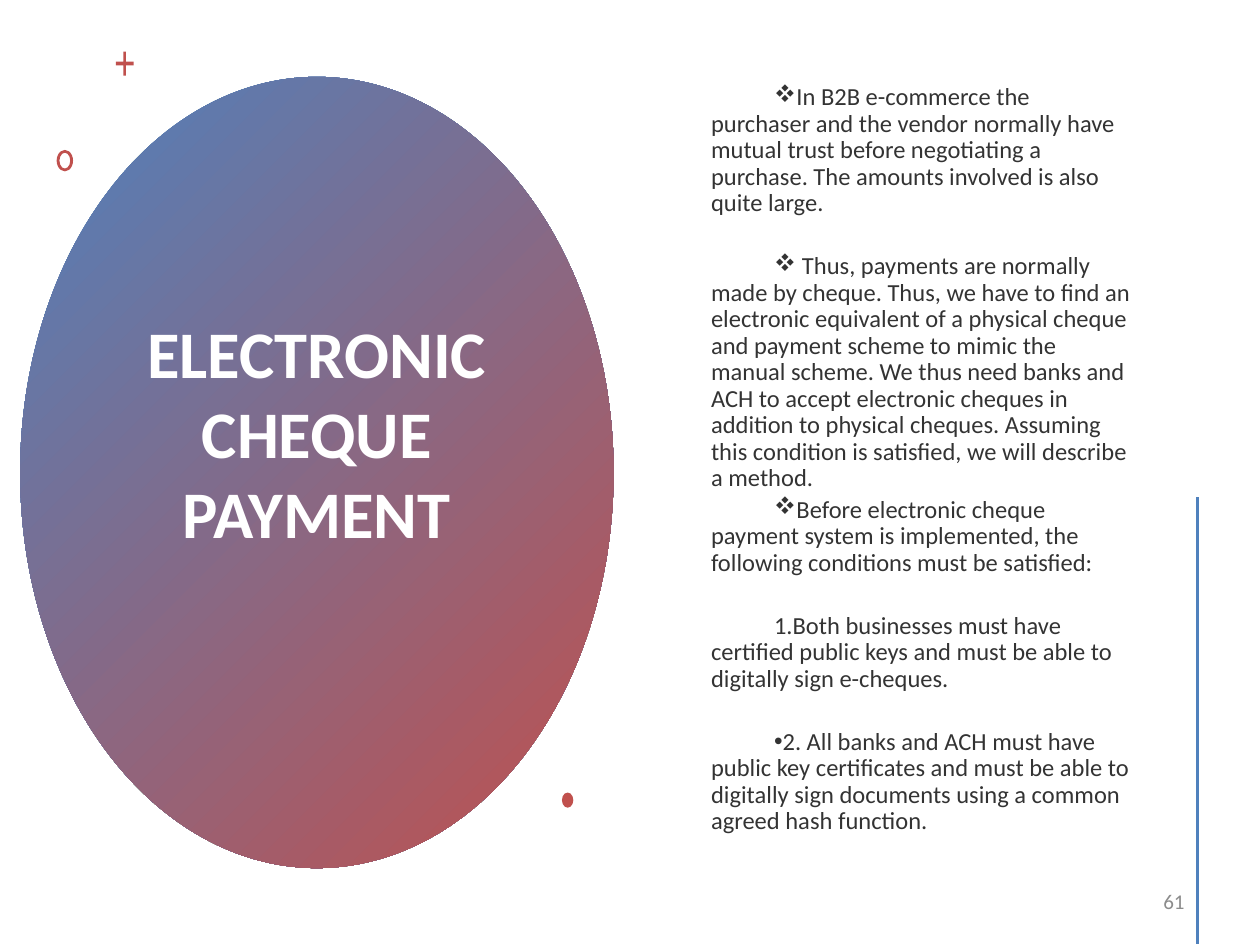
from dataclasses import dataclass

from lxml import etree
from pptx import Presentation
from pptx.dml.color import RGBColor
from pptx.enum.shapes import MSO_CONNECTOR, MSO_SHAPE
from pptx.enum.text import MSO_ANCHOR, MSO_AUTO_SIZE, PP_ALIGN
from pptx.oxml.ns import qn
from pptx.text.text import Font
from pptx.util import Emu, Inches, Pt

OVAL, DONUT = MSO_SHAPE.OVAL, MSO_SHAPE.DONUT
LINE = MSO_CONNECTOR.STRAIGHT
MIDDLE, FIXED = MSO_ANCHOR.MIDDLE, MSO_AUTO_SIZE.NONE
LEFT, CENTER, RIGHT = PP_ALIGN.LEFT, PP_ALIGN.CENTER, PP_ALIGN.RIGHT

WIDE, HIGH = Inches(10), Inches(7.5)
HEX = {"blue": "4F81BD", "red": "C0504D", "white": "FFFFFF",
       "black": "000000", "gray": "8C8C8C"}
TITLE = {"name": "Calibri", "size": Pt(38), "bold": True}
BODY = {"name": "Calibri", "size": Pt(14)}
PAGE = {"name": "Calibri", "size": Pt(12)}
MARKS = {"v": "Wingdings", "•": "Arial"}
CLOSE, APART = 2.8, 20.9


@dataclass
class Box:
    left: float
    top: float
    width: float
    height: float

    def spot(self) -> tuple:
        return (across(self.left), down(self.top),
                across(self.width), down(self.height))


@dataclass
class Item:
    mark: str
    text: str
    gap: float


ITEMS = [
    Item("v", "In B2B e-commerce the purchaser and the vendor normally have mutual "
         "trust before negotiating a purchase. The amounts involved is also quite "
         "large.", 0),
    Item("v", " Thus, payments are normally made by cheque. Thus, we have to find an "
         "electronic equivalent of a physical cheque and payment scheme to mimic the "
         "manual scheme. We thus need banks and ACH to accept electronic cheques in "
         "addition to physical cheques. Assuming this condition is satisfied, we will "
         "describe a method.", APART),
    Item("v", "Before electronic cheque payment system is implemented, the following "
         "conditions must be satisfied:", CLOSE),
    Item("1.", "Both businesses must have certified public keys and must be able to "
         "digitally sign e-cheques.", APART),
    Item("•", "2. All banks and ACH must have public key certificates and must be able "
         "to digitally sign documents using a common agreed hash function.", APART),
]


def across(share: float) -> Emu:
    return Emu(round(WIDE * share / 100))


def down(share: float) -> Emu:
    return Emu(round(HIGH * share / 100))


def tint(name: str) -> RGBColor:
    return RGBColor.from_string(HEX[name])


def apply(thing, form: dict) -> None:
    for key, value in form.items():
        setattr(thing, key, value)


def paint(shape) -> None:
    shape.shadow.inherit = False
    shape.line.fill.background()
    shape.fill.solid()
    shape.fill.fore_color.rgb = tint("red")


def add_shape(slide, kind, box: Box):
    shape = slide.shapes.add_shape(kind, *box.spot())
    paint(shape)
    return shape


def add_plus(slide, box: Box) -> None:
    left, top, width, height = box.spot()
    x1, x2, y1, y2 = 0.43, 0.57, 0.42, 0.58
    grid = [(x1, 0), (x2, 0), (x2, y1), (1, y1), (1, y2), (x2, y2),
            (x2, 1), (x1, 1), (x1, y2), (0, y2), (0, y1), (x1, y1)]
    dots = [(left + round(x * width), top + round(y * height)) for x, y in grid]
    pen = slide.shapes.build_freeform(*dots[0])
    pen.add_line_segments(dots[1:], close=True)
    paint(pen.convert_to_shape())


def write(para, text: str, form: dict, color: str, align) -> Font:
    para.alignment = align
    run = para.add_run()
    run.text = text
    apply(run.font, form)
    run.font.color.rgb = tint(color)
    return run.font


def frame(shape, foot: float = 0.05):
    text = shape.text_frame
    apply(text, {"word_wrap": True, "auto_size": FIXED, "vertical_anchor": MIDDLE,
                 "margin_bottom": Inches(foot)})
    return text


def add_item(para, item: Item) -> None:
    props = para._p.get_or_add_pPr()
    props.set("marL", str(Inches(0.38)))
    props.set("indent", str(Inches(0.5)))
    if item.mark in MARKS:
        etree.SubElement(props, qn("a:buFont"), typeface=MARKS[item.mark])
        etree.SubElement(props, qn("a:buChar"), char=item.mark)
    else:
        etree.SubElement(props, qn("a:buAutoNum"), type="arabicPeriod")
    apply(para, {"line_spacing": 0.9, "space_before": Pt(item.gap)})
    font = write(para, item.text, BODY, "black", LEFT)
    shade = font._element.find(".//" + qn("a:srgbClr"))
    etree.SubElement(shade, qn("a:alpha"), val="80000")


def add_body(slide, box: Box) -> None:
    text = frame(slide.shapes.add_textbox(*box.spot()), 0.27)
    for rank, item in enumerate(ITEMS):
        add_item(text.add_paragraph() if rank else text.paragraphs[0], item)


def add_title(slide, box: Box) -> None:
    title = slide.shapes.title
    apply(title, dict(zip(("left", "top", "width", "height"), box.spot())))
    text = frame(title, 0.68)
    write(text.paragraphs[0], "ELECTRONIC CHEQUE PAYMENT", TITLE, "white", CENTER)
    slide.shapes._spTree.append(title._element)


def add_disc(slide, box: Box) -> None:
    fill = add_shape(slide, OVAL, box).fill
    fill.gradient()
    fill.gradient_angle = 315
    for stop, name, place in zip(fill.gradient_stops, ("blue", "red"), (0, 1)):
        stop.color.rgb = tint(name)
        stop.position = place


def add_rule(slide, left: float, top: float, foot: float) -> None:
    rule = slide.shapes.add_connector(
        LINE, across(left), down(top), across(left), down(foot))
    rule.line.color.rgb = tint("blue")
    rule.line.width = Pt(2)
    etree.SubElement(rule._element.spPr, qn("a:effectLst"))


def main() -> None:
    deck = Presentation()
    apply(deck, {"slide_width": WIDE, "slide_height": HIGH})
    slide = deck.slides.add_slide(deck.slide_layouts[5])
    add_disc(slide, Box(1.6, 8.13, 47.1, 83.73))
    add_title(slide, Box(10.2, 18.8, 29.9, 62.27))
    add_plus(slide, Box(9.2, 5.47, 1.4, 2.53))
    ring = add_shape(slide, DONUT, Box(4.5, 15.87, 1.3, 2.27))
    ring.adjustments[0] = 0.17
    add_body(slide, Box(51.65, 7.6, 39.1, 85.07))
    add_shape(slide, OVAL, Box(44.6, 83.87, 0.9, 1.6))
    add_rule(slide, 95.03, 52.6, 99.87)
    page = slide.shapes.add_textbox(*Box(71.7, 92.67, 23.3, 5.33).spot())
    write(frame(page).paragraphs[0], "61", PAGE, "gray", RIGHT)
    deck.save("out.pptx")


if __name__ == "__main__":
    main()
